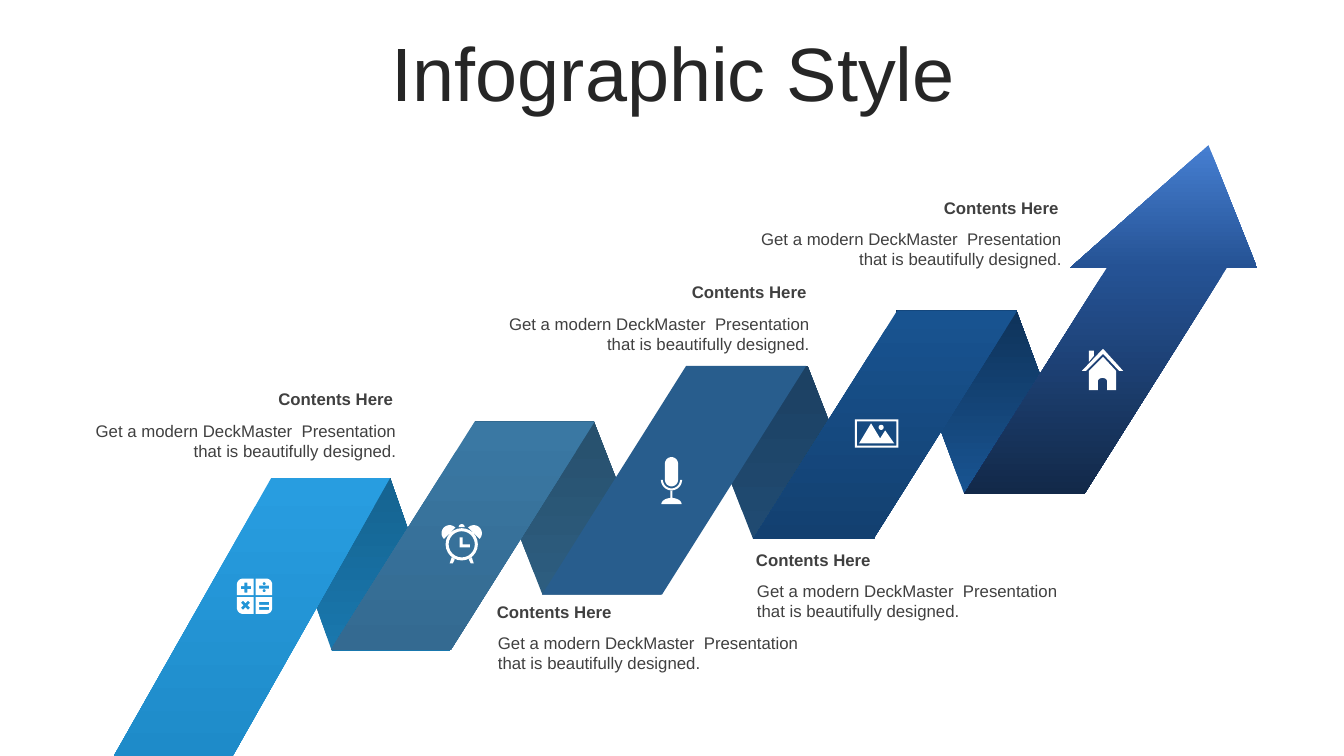
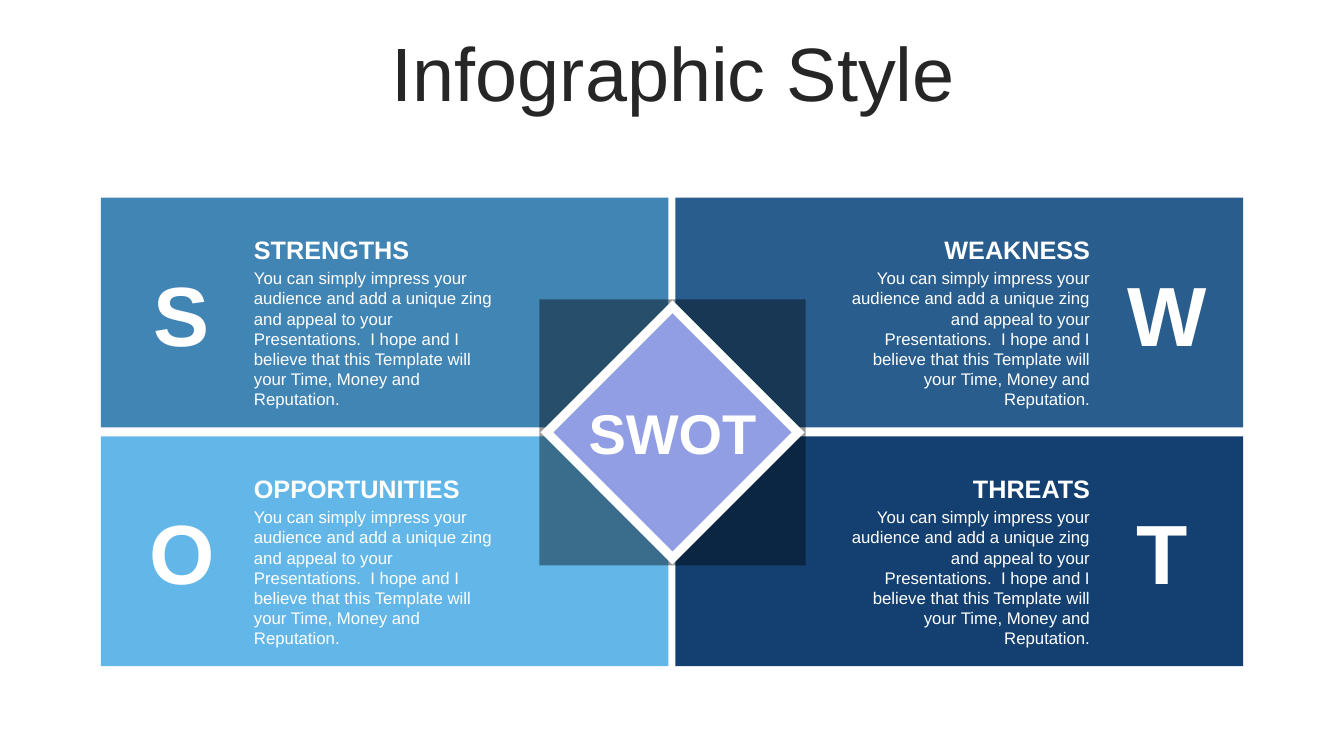
from math import cos, radians, sin

from lxml import etree
from pptx import Presentation
from pptx.dml.color import RGBColor
from pptx.enum.shapes import MSO_SHAPE
from pptx.enum.text import MSO_ANCHOR, PP_ALIGN
from pptx.oxml.ns import qn
from pptx.util import Inches, Pt

RECTANGLE = MSO_SHAPE.RECTANGLE
DIAMOND = MSO_SHAPE.DIAMOND
PARALLELOGRAM = MSO_SHAPE.PARALLELOGRAM
TRIANGLE = MSO_SHAPE.ISOSCELES_TRIANGLE
LEFT, CENTER, RIGHT = PP_ALIGN.LEFT, PP_ALIGN.CENTER, PP_ALIGN.RIGHT
TOP, MIDDLE = MSO_ANCHOR.TOP, MSO_ANCHOR.MIDDLE

WHITE = RGBColor(0xFF, 0xFF, 0xFF)
BLACK = RGBColor(0x00, 0x00, 0x00)
TITLE_GRAY = RGBColor(0x26, 0x26, 0x26)
TEXT_GRAY = RGBColor(0x40, 0x40, 0x40)
SKY = RGBColor(0x28, 0x9D, 0xE0)
SKY_DEEP = RGBColor(0x1E, 0x8B, 0xC9)
SKY_FOLD = RGBColor(0x19, 0x77, 0xAD)
SKY_FOLD_DEEP = RGBColor(0x15, 0x63, 0x90)
STEEL = RGBColor(0x3A, 0x78, 0xA3)
STEEL_DEEP = RGBColor(0x34, 0x6A, 0x91)
STEEL_FOLD = RGBColor(0x2D, 0x5D, 0x7F)
STEEL_FOLD_DEEP = RGBColor(0x27, 0x50, 0x6D)
DENIM = RGBColor(0x28, 0x5D, 0x8D)
DENIM_FOLD = RGBColor(0x20, 0x4A, 0x71)
DENIM_FOLD_DEEP = RGBColor(0x1C, 0x41, 0x63)
ROYAL = RGBColor(0x18, 0x53, 0x90)
NAVY = RGBColor(0x13, 0x40, 0x70)
ROYAL_FOLD_DEEP = RGBColor(0x0F, 0x33, 0x5A)
ARROW_TIP = RGBColor(0x45, 0x7E, 0xD0)
ARROW = RGBColor(0x25, 0x52, 0x94)
ARROW_DEEP = RGBColor(0x12, 0x29, 0x49)
BLUE = RGBColor(0x41, 0x85, 0xB5)
LIGHT_BLUE = RGBColor(0x62, 0xB7, 0xE8)
LAVENDER = RGBColor(0x92, 0x9E, 0xE3)

FONT = "Arial"
TITLE_FORMAT = {"name": FONT, "size": Pt(54)}
BODY_FORMAT = {"name": FONT, "size": Pt(12)}
LABEL_FORMAT = {"name": FONT, "size": Pt(12), "bold": True}
HEADING_FORMAT = {"name": FONT, "size": Pt(18), "bold": True}
CENTER_FORMAT = {"name": FONT, "size": Pt(40), "bold": True}
LETTER_FORMAT = {"name": FONT, "size": Pt(60), "bold": True}

CONTENT_TEXT = "Get a modern DeckMaster  Presentation that is beautifully designed."
SWOT_TEXT = (
    "You can simply impress your audience and add a unique zing and appeal to your "
    "Presentations.  I hope and I believe that this Template will your Time, Money and Reputation."
)


def add_text(slide, text, box, font_format, color, align=LEFT, anchor=TOP, right_inset=0.1):
    frame = slide.shapes.add_textbox(*map(Inches, box)).text_frame
    frame.word_wrap = True
    frame.vertical_anchor = anchor
    frame.margin_right = Inches(right_inset)
    paragraph = frame.paragraphs[0]
    paragraph.text = text
    paragraph.alignment = align
    for name, value in font_format.items():
        setattr(paragraph.font, name, value)
    paragraph.font.color.rgb = color
    return paragraph


def add_title(slide, text):
    box = (0.35, 0.37, 12.66, 0.79)
    paragraph = add_text(slide, text, box, TITLE_FORMAT, TITLE_GRAY, CENTER, MIDDLE)
    paragraph.line_spacing = 0.9


def paint(shape, colors):
    shape.shadow.inherit = False
    shape.line.fill.background()
    if len(colors) == 1:
        shape.fill.solid()
        shape.fill.fore_color.rgb = colors[0]
        return
    shape.fill.gradient()
    shape.fill.gradient_angle = 270
    for stop, color, position in zip(shape.fill.gradient_stops, colors, (0.02, 1)):
        stop.color.rgb = color
        stop.position = position


def add_block(slide, kind, box, colors, slant=None, flipped=False):
    shape = slide.shapes.add_shape(kind, *map(Inches, box))
    if slant is not None:
        shape.adjustments[0] = slant
    if flipped:
        shape.element.spPr.xfrm.set("flipV", "1")
    paint(shape, colors)
    return shape


def set_opacity(shape, percent):
    color = shape.element.spPr.find(qn("a:solidFill"))[0]
    etree.SubElement(color, qn("a:alpha")).set("val", str(percent * 1000))


def add_content(slide, left, top, align):
    add_text(slide, CONTENT_TEXT, (left + 0.01, top + 0.31, 3.43, 0.5), BODY_FORMAT, TEXT_GRAY, align)
    add_text(slide, "Contents Here", (left, top, 3.43, 0.3), LABEL_FORMAT, TEXT_GRAY, align, right_inset=0.12)


def arc(x, y, radius, start, end, height=None):
    steps = 24
    angles = [radians(start + (end - start) * step / steps) for step in range(steps + 1)]
    return [(x + radius * cos(angle), y + (height or radius) * sin(angle)) for angle in angles]


def circle(x, y, radius):
    return arc(x, y, radius, 0, 360)


def rectangle(left, top, right, bottom):
    return [(left, top), (right, top), (right, bottom), (left, bottom)]


def cross(x, y, arm, half, turn=0):
    points = []
    for quarter in range(4):
        angle = radians(turn + 90 * quarter)
        for across, down in ((arm, -half), (arm, half), (half, half)):
            points.append((x + across * cos(angle) - down * sin(angle),
                           y + across * sin(angle) + down * cos(angle)))
    return points


def mirror(points, axis):
    return [(2 * axis - x, y) for x, y in points]


def add_icon(slide, contours):
    builder = None
    for contour in contours:
        points = [(Inches(x), Inches(y)) for x, y in contour]
        if builder is None:
            builder = slide.shapes.build_freeform(*points[0], scale=1.0)
        else:
            builder.move_to(*points[0])
        builder.add_line_segments(points[1:], close=True)
    paint(builder.convert_to_shape(), [WHITE])


def calculator():
    x, y = 2.525, 5.915
    tile = [(0.01, 0.01), (0.01, 0.175)] + arc(0.115, 0.115, 0.06, 90, 0) + [(0.175, 0.01)]
    tiles = [[(x + side * across, y + level * down) for across, down in tile]
             for side in (-1, 1) for level in (-1, 1)]
    bars = [rectangle(2.57, top, 2.67, top + 0.03) for top in (5.81, 5.97, 6.02)]
    dots = [circle(2.62, center, 0.015) for center in (5.79, 5.86)]
    return tiles + bars + dots + [cross(2.44, 5.83, 0.05, 0.015), cross(2.435, 6.005, 0.05, 0.015, 45)]


def alarm_clock():
    x, y = 4.58, 5.4
    hands = [(4.56, 5.33), (4.59, 5.33), (4.59, 5.4), (4.66, 5.4), (4.66, 5.43), (4.56, 5.43)]
    bell = arc(4.46, 5.29, 0.08, -45, -225)
    leg = [(4.48, 5.53), (4.46, 5.59), (4.49, 5.59), (4.51, 5.55)]
    button = arc(x, 5.23, 0.03, 180, 360)
    return [circle(x, y, 0.16), circle(x, y, 0.13), hands, button,
            bell, mirror(bell, x), leg, mirror(leg, x)]


def microphone():
    x = 6.66
    capsule = arc(x, 4.6, 0.065, 180, 360) + arc(x, 4.76, 0.065, 0, 180)
    cradle = arc(x, 4.76, 0.105, 0, 180) + arc(x, 4.76, 0.085, 180, 0)
    stem = rectangle(x - 0.01, 4.87, x + 0.01, 4.94)
    return [capsule, cradle, stem, arc(x, 5, 0.1, 180, 360, 0.06)]


def landscape():
    mountains = [(8.64, 4.2), (8.73, 4.35), (8.78, 4.27), (8.87, 4.4), (8.52, 4.4)]
    return [rectangle(8.48, 4.16, 8.91, 4.44), rectangle(8.5, 4.18, 8.89, 4.42),
            circle(8.74, 4.24, 0.025), mountains]


def house():
    roof = [(10.94, 3.46), (11.14, 3.68), (11.1, 3.68), (10.94, 3.51), (10.77, 3.68), (10.73, 3.68)]
    walls = [(10.94, 3.54), (11.07, 3.68), (11.07, 3.87), (10.98, 3.87)]
    walls += arc(10.935, 3.78, 0.045, 0, -180, 0.03)
    walls += [(10.89, 3.87), (10.8, 3.87), (10.8, 3.68)]
    chimney = [(10.8, 3.48), (10.85, 3.48), (10.85, 3.53), (10.8, 3.59)]
    return [roof, walls, chimney]


def build_arrow_slide(slide):
    add_title(slide, "Infographic Style")
    folds = (
        ((8.89, 3.08, 1.86, 1.81), 0.37, (ROYAL, ROYAL_FOLD_DEEP)),
        ((6.8, 3.63, 1.88, 1.72), 0.39, (DENIM_FOLD, DENIM_FOLD_DEEP)),
        ((2.69, 4.74, 1.78, 1.72), 0.35, (SKY_FOLD, SKY_FOLD_DEEP)),
        ((4.71, 4.18, 1.85, 1.72), 0.39, (STEEL_FOLD, STEEL_FOLD_DEEP)),
    )
    for box, slant, colors in folds:
        add_block(slide, PARALLELOGRAM, box, colors, slant, flipped=True)
    panels = (
        (4.18, (STEEL, STEEL_DEEP)),
        (3.63, (DENIM,)),
        (3.08, (ROYAL, NAVY)),
        (2.63, (ARROW, ARROW_DEEP)),
    )
    for index, (top, colors) in enumerate(panels):
        add_block(slide, PARALLELOGRAM, (3.28 + 2.095 * index, top, 2.62, 2.27), colors, 0.63)
    add_block(slide, PARALLELOGRAM, (1.13, 4.74, 2.74, 2.76), (SKY, SKY_DEEP), 0.57)
    add_block(slide, TRIANGLE, (10.61, 1.44, 1.86, 1.22), (ARROW_TIP, ARROW), 0.74)
    contents = (
        (7.4, 5.4, LEFT),
        (4.83, 5.92, LEFT),
        (7.19, 1.91, RIGHT),
        (0.59, 3.81, RIGHT),
        (4.69, 2.75, RIGHT),
    )
    for left, top, align in contents:
        add_content(slide, left, top, align)
    for icon in (calculator, alarm_clock, microphone, landscape, house):
        add_icon(slide, icon())


def add_quadrant(slide, column, row, letter, heading, color):
    left, top = 1 + 5.7 * column, 1.96 + 2.37 * row
    text_left, letter_left, align = ((2.42, 1.36, LEFT), (8.23, 11.08, RIGHT))[column]
    add_block(slide, RECTANGLE, (left, top, 5.63, 2.28), [color])
    add_text(slide, heading, (text_left, top + 0.32, 2.68, 0.3), HEADING_FORMAT, WHITE, align)
    add_text(slide, SWOT_TEXT, (text_left, top + 0.65, 2.68, 1.31), BODY_FORMAT, WHITE, align)
    add_text(slide, letter, (letter_left, top + 0.59, 0.89, 1.11), LETTER_FORMAT, WHITE, CENTER)


def build_swot_slide(slide):
    add_title(slide, "Infographic Style")
    quadrants = (
        (0, 0, "S", "STRENGTHS", BLUE),
        (0, 1, "O", "OPPORTUNITIES", LIGHT_BLUE),
        (1, 0, "W", "WEAKNESS", DENIM),
        (1, 1, "T", "THREATS", NAVY),
    )
    for quadrant in quadrants:
        add_quadrant(slide, *quadrant)
    center_x, center_y = 6.67, 4.29
    layers = ((RECTANGLE, 2.64, BLACK, 40), (DIAMOND, 2.62, WHITE, 100), (DIAMOND, 2.36, LAVENDER, 100))
    for kind, size, color, opacity in layers:
        box = (center_x - size / 2, center_y - size / 2, size, size)
        shape = add_block(slide, kind, box, [color])
        if opacity < 100:
            set_opacity(shape, opacity)
    add_text(slide, "SWOT", (5.64, 3.9, 2.06, 0.77), CENTER_FORMAT, WHITE, CENTER)


def main():
    presentation = Presentation()
    presentation.slide_width = Inches(13.33)
    presentation.slide_height = Inches(7.5)
    blank_layout = presentation.slide_layouts[6]
    for build in (build_arrow_slide, build_swot_slide):
        build(presentation.slides.add_slide(blank_layout))
    presentation.save("out.pptx")


if __name__ == "__main__":
    main()
